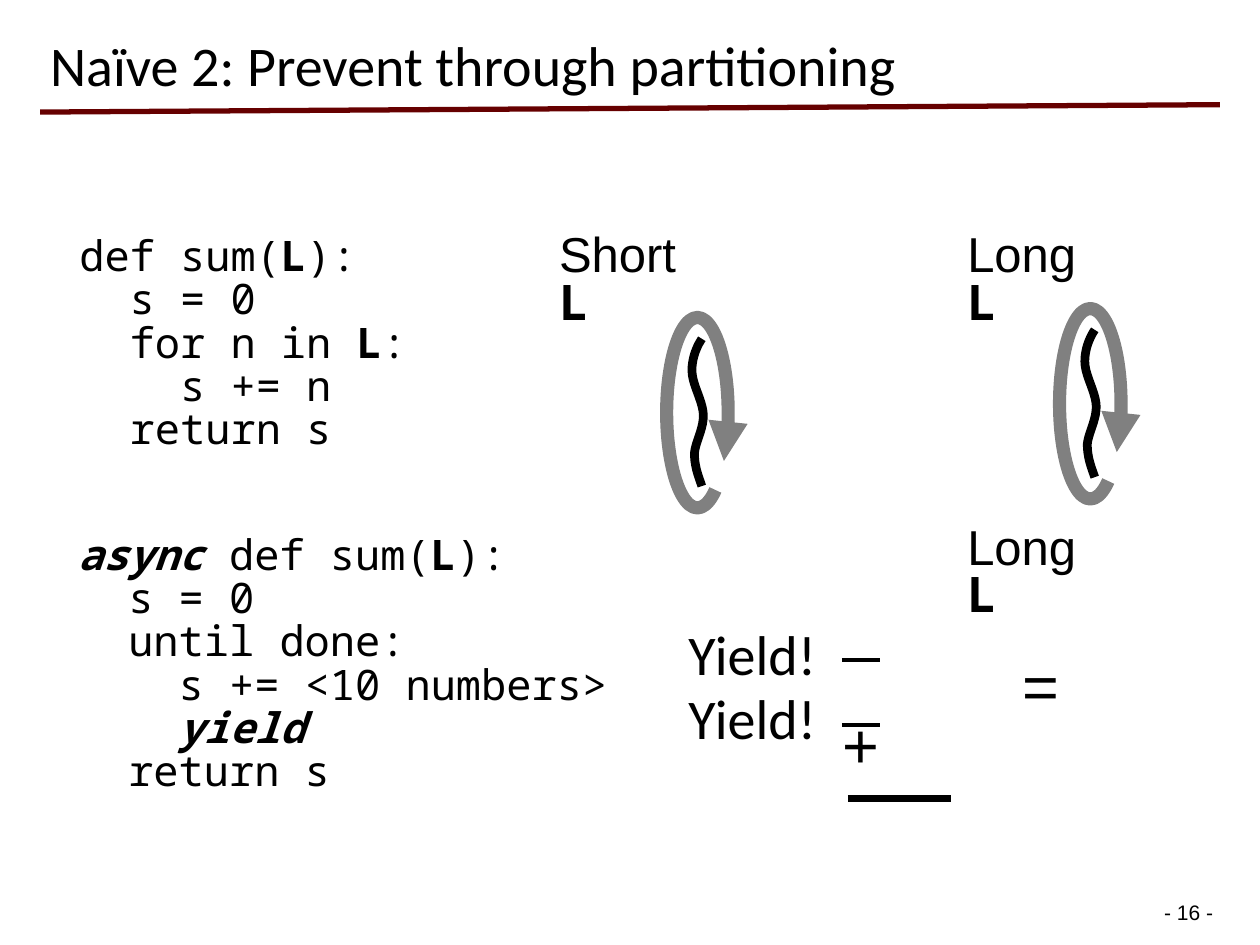
from dataclasses import dataclass

from lxml import etree
from pptx import Presentation
from pptx import util as u
from pptx.dml.color import RGBColor
from pptx.enum import shapes, text
from pptx.oxml import ns

BLACK = RGBColor(0x00, 0x00, 0x00)
MAROON = RGBColor(0x66, 0x00, 0x00)
GRAY = RGBColor(0x80, 0x80, 0x80)
SANS, TITLE_FONT, MONO = "Arial", "Calibri", "Noto Sans Mono"
CURVE_STEPS = 10


@dataclass
class Run:
    text: str
    bold: bool = False
    italic: bool = False
    font: str = MONO


@dataclass
class TextBox:
    left: float
    top: float
    width: float
    height: float
    size: float
    lines: list[list[Run]]
    spacing: float = 0.8
    wrap: bool = False
    anchor: text.MSO_ANCHOR = text.MSO_ANCHOR.TOP


@dataclass
class Rule:
    start: tuple[float, float]
    end: tuple[float, float]
    width: float
    color: RGBColor = BLACK


@dataclass
class Thread:
    label: TextBox
    left: float
    top: float


def draw_text(container, box: TextBox):
    shape = container.add_textbox(u.Cm(box.left), u.Cm(box.top), u.Cm(box.width), u.Cm(box.height))
    frame = shape.text_frame
    frame.word_wrap = box.wrap
    frame.vertical_anchor = box.anchor
    for index, line in enumerate(box.lines):
        paragraph = frame.add_paragraph() if index else frame.paragraphs[0]
        paragraph.line_spacing = box.spacing
        paragraph.space_before = u.Pt(1.7 if index else 0)
        for part in line:
            run = paragraph.add_run()
            run.text = part.text
            run.font.name = part.font
            run.font.size = u.Pt(box.size)
            run.font.bold = part.bold
            run.font.italic = part.italic
            run.font.color.rgb = BLACK
    return shape


def draw_rule(container, rule: Rule) -> None:
    connector = container.add_connector(
        shapes.MSO_CONNECTOR.STRAIGHT, *(u.Cm(value) for value in rule.start + rule.end))
    connector.line.color.rgb = rule.color
    connector.line.width = u.Pt(rule.width)
    etree.SubElement(connector._element.spPr, ns.qn("a:effectLst"))


def style_outline(shape, color: RGBColor, width: float) -> None:
    shape.shadow.inherit = False
    shape.fill.background()
    shape.line.color.rgb = color
    shape.line.width = u.Pt(width)


def curve_points(start, segments) -> list[tuple[float, float]]:
    """Points along a chain of cubic curves."""
    points = [start]
    for first, second, end in segments:
        for step in range(1, CURVE_STEPS + 1):
            t = step / CURVE_STEPS
            weights = ((1 - t) ** 3, 3 * t * (1 - t) ** 2, 3 * t * t * (1 - t), t ** 3)
            corners = (start, first, second, end)
            points.append(tuple(
                sum(weight * corner[axis] for weight, corner in zip(weights, corners))
                for axis in (0, 1)))
        start = end
    return points


# Wavy strand, measured from the top left of the loop around it
STRAND = curve_points((0.71, 0.43), [
    ((0.61, 0.58), (0.51, 0.81), (0.51, 1.07)),
    ((0.51, 1.35), (0.74, 1.70), (0.74, 1.98)),
    ((0.74, 2.26), (0.58, 2.51), (0.56, 2.74)),
    ((0.56, 3.00), (0.64, 3.20), (0.71, 3.40)),
])


def draw_thread(container, thread: Thread) -> None:
    group = container.add_group_shape().shapes
    draw_text(group, thread.label)
    points = [(u.Cm(thread.left + x), u.Cm(thread.top + y)) for x, y in STRAND]
    builder = group.build_freeform(*points[0])
    builder.add_line_segments(points[1:], close=False)
    style_outline(builder.convert_to_shape(), BLACK, 5)

    loop = group.add_shape(shapes.MSO_SHAPE.ARC, u.Cm(thread.left), u.Cm(thread.top),
                           u.Cm(1.24), u.Cm(3.84))
    loop.adjustments[0] = 46.145
    loop.adjustments[1] = 36.755
    style_outline(loop, GRAY, 7.5)
    etree.SubElement(loop.line._get_or_add_ln(), ns.qn("a:tailEnd"), type="triangle")


def list_label(word: str, left: float, top: float, width: float) -> TextBox:
    runs = [Run(word + " ", font=SANS), Run("L", bold=True)]
    return TextBox(left, top, width, 1.45, 28, [runs], wrap=True)


LIST = Run("L", bold=True)
PLAIN_CODE = [
    [Run("def sum("), LIST, Run("):")],
    [Run("  s = 0")],
    [Run("  for n in "), LIST, Run(":")],
    [Run("    s += n")],
    [Run("  return s")],
]
ASYNC_CODE = [
    [Run("async", True, True), Run(" def sum("), LIST, Run("):")],
    [Run("  s = 0")],
    [Run("  until done:")],
    [Run("    s += <10 numbers>")],
    [Run("    "), Run("yield", True, True)],
    [Run("  return s")],
]
TEXTS = [
    TextBox(0.76, 0.33, 22.35, 1.78, 32,
            [[Run("Naïve 2: Prevent through partitioning", font=TITLE_FONT)]],
            spacing=0.9, wrap=True, anchor=text.MSO_ANCHOR.BOTTOM),
    TextBox(1.35, 4.7, 7.16, 5.38, 24, PLAIN_CODE),
    TextBox(1.32, 10.72, 11.28, 6.4, 24, ASYNC_CODE),
    TextBox(20.37, 13.21, 1.27, 1.8, 36, [[Run("=", font=SANS)]]),
    TextBox(16.74, 14.4, 1.27, 1.8, 36, [[Run("+", font=SANS)]]),
    list_label("Long", 19.25, 10.52, 3.35),
]
THREADS = [
    Thread(list_label("Short", 11.02, 4.62, 3.66), 13.44, 6.4),
    Thread(list_label("Long", 19.25, 4.62, 3.35), 21.36, 6.22),
]


def main() -> None:
    presentation = Presentation()
    presentation.slide_width, presentation.slide_height = u.Cm(25.4), u.Cm(19.05)
    slide = presentation.slides.add_slide(presentation.slide_layouts[6])
    canvas = slide.shapes

    # Title rule and page number
    draw_rule(canvas, Rule((0.81, 2.26), (24.59, 2.11), 3, MAROON))
    number = TextBox(23.34, 18.08, 1.32, 0.61, 12, [[Run("- 16 -", font=SANS)]], spacing=1.0)
    frame = draw_text(canvas, number).text_frame
    frame.margin_left = frame.margin_right = u.Cm(0.13)
    frame.margin_top = frame.margin_bottom = u.Cm(0.05)

    # Title, code and symbols
    for box in TEXTS:
        draw_text(canvas, box)

    # Threads running over a list
    for thread in THREADS:
        draw_thread(canvas, thread)

    # Partial sums, each followed by a yield, and the total line
    for top in (12.62, 13.92):
        draw_text(canvas, TextBox(13.63, top, 3.15, 1.35, 32,
                                  [[Run("Yield!", font=TITLE_FONT)]]))
        draw_rule(canvas, Rule((16.97, top + 0.69), (17.73, top + 0.69), 2))
    draw_rule(canvas, Rule((17.09, 16.1), (19.18, 16.1), 4))

    presentation.save("out.pptx")


if __name__ == "__main__":
    main()
